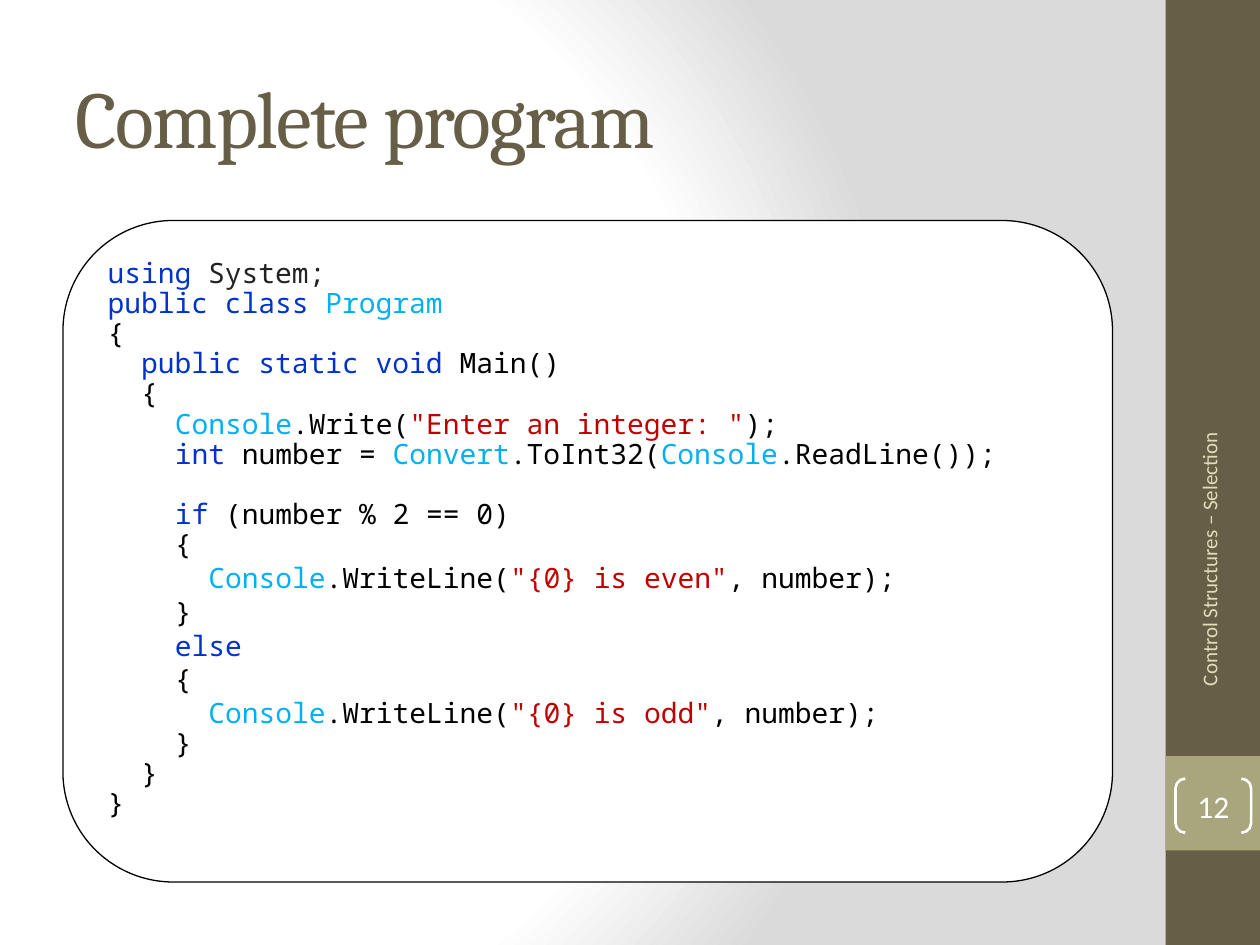
from dataclasses import dataclass

from lxml.etree import SubElement
from pptx import Presentation
from pptx.dml.color import RGBColor
from pptx.enum.shapes import MSO_SHAPE as Preset
from pptx.enum.text import MSO_ANCHOR as Anchor, MSO_AUTO_SIZE as AutoSize, PP_ALIGN as Align
from pptx.oxml.ns import qn
from pptx.util import Inches, Pt

WHITE = RGBColor(0xFF, 0xFF, 0xFF)
BLACK = RGBColor(0x00, 0x00, 0x00)
SHADE = RGBColor(0xDA, 0xDA, 0xDA)
BROWN = RGBColor(0x67, 0x5E, 0x47)
OLIVE = RGBColor(0xA9, 0xA5, 0x7C)
SAND = RGBColor(0xDF, 0xDC, 0xB7)
KEYWORD = RGBColor(0x00, 0x33, 0xCC)
TYPE_NAME = RGBColor(0x00, 0xB0, 0xF0)
STRING = RGBColor(0xC0, 0x00, 0x00)
NAMESPACE = RGBColor(0x22, 0x22, 0x22)

WIDTH, HEIGHT = 10, 7.5
MARGIN, CONTENT_WIDTH = 0.5, 8.33
SIDEBAR_WIDTH = 0.75
SIDEBAR_LEFT = WIDTH - SIDEBAR_WIDTH
CODE_SIZE = 16
INDENT_STEP = CODE_SIZE * 0.6 * 2
TIGHT = 0.9


@dataclass(frozen=True)
class Run:
    text: str
    color: RGBColor = BLACK


@dataclass(frozen=True)
class CodeLine:
    indent: int
    runs: tuple[Run, ...]
    spacing: float = TIGHT
    space_before: float = 0


def write_line(indent: int, message: str) -> CodeLine:
    return CodeLine(indent, (
        Run("Console", TYPE_NAME), Run(".WriteLine("),
        Run(f'"{message}"', STRING), Run(", number);")), 1)


def brace(indent: int, symbol: str, spacing: float = TIGHT) -> CodeLine:
    return CodeLine(indent, (Run(symbol),), spacing)


CODE = (
    CodeLine(0, (Run("using", KEYWORD), Run(" System;", NAMESPACE))),
    CodeLine(0, (Run("public class ", KEYWORD), Run("Program", TYPE_NAME))),
    brace(0, "{"),
    CodeLine(1, (Run("public static void", KEYWORD), Run(" Main()"))),
    brace(1, "{"),
    CodeLine(2, (Run("Console", TYPE_NAME), Run(".Write("),
                 Run('"Enter an integer: "', STRING), Run(");"))),
    CodeLine(2, (Run("int ", KEYWORD), Run("number = "), Run("Convert", TYPE_NAME),
                 Run(".ToInt32("), Run("Console", TYPE_NAME), Run(".ReadLine());"))),
    CodeLine(2, (Run("if", KEYWORD), Run(" (number % 2 == 0)")), space_before=17.2),
    brace(2, "{"),
    write_line(3, "{0} is even"),
    brace(2, "}", 1),
    CodeLine(2, (Run("else", KEYWORD),), 1),
    brace(2, "{", 1),
    write_line(3, "{0} is odd"),
    brace(2, "}"),
    brace(1, "}"),
    brace(0, "}"),
)


def add_run(paragraph, run: Run, size: float, font: str):
    text_run = paragraph.add_run()
    text_run.text = run.text
    text_run.font.size = Pt(size)
    text_run.font.name = font
    text_run.font.color.rgb = run.color
    return text_run


def add_box(slide, preset: Preset, left: float, top: float, width: float, height: float,
            fill: RGBColor | None = None, line: RGBColor | None = None,
            line_width: float = 0.75):
    shape = slide.shapes.add_shape(
        preset, Inches(left), Inches(top), Inches(width), Inches(height))
    shape.shadow.inherit = False
    if fill is None:
        shape.fill.background()
    else:
        shape.fill.solid()
        shape.fill.fore_color.rgb = fill
    if line is None:
        shape.line.fill.background()
    else:
        shape.line.color.rgb = line
        shape.line.width = Pt(line_width)
    return shape


def paint_background(slide) -> None:
    slide.background.fill.gradient()
    gradient = slide.background._cSld.find(".//" + qn("a:gradFill"))
    for child in list(gradient):
        gradient.remove(child)
    stops = SubElement(gradient, qn("a:gsLst"))
    for percent, color in ((0, WHITE), (75, WHITE), (100, SHADE)):
        stop = SubElement(stops, qn("a:gs"), pos=str(percent * 1000))
        SubElement(stop, qn("a:srgbClr"), val=str(color))
    circle = SubElement(gradient, qn("a:path"), {"path": "circle"})
    SubElement(circle, qn("a:fillToRect"), l="20000", t="50000", r="100000", b="50000")


def add_sidebar(slide) -> None:
    add_box(slide, Preset.RECTANGLE, SIDEBAR_LEFT, 0, SIDEBAR_WIDTH, HEIGHT, BROWN)
    add_box(slide, Preset.RECTANGLE, SIDEBAR_LEFT, HEIGHT * 0.8,
            SIDEBAR_WIDTH, SIDEBAR_WIDTH, OLIVE)

    footer = slide.shapes.add_textbox(Inches(8.3), Inches(4.43), Inches(2.59), Inches(0.4))
    footer.rotation = 270
    frame = footer.text_frame
    frame.word_wrap = True
    frame.vertical_anchor = Anchor.MIDDLE
    paragraph = frame.paragraphs[0]
    paragraph.alignment = Align.RIGHT
    add_run(paragraph, Run("Control Structures – Selection", SAND), 12, "Calibri")

    number = add_box(slide, Preset.DOUBLE_BRACKET, 9.33, 6.18, 0.6, 0.43,
                     line=WHITE, line_width=1.5)
    number.adjustments[0] = 0.18
    frame = number.text_frame
    frame.margin_left = frame.margin_right = frame.margin_top = frame.margin_bottom = 0
    frame.vertical_anchor = Anchor.MIDDLE
    paragraph = frame.paragraphs[0]
    paragraph.alignment = Align.CENTER
    add_run(paragraph, Run("12", WHITE), 18, "Calibri")


def add_title(slide, text: str) -> None:
    title = slide.shapes.title
    title.left, title.top = Inches(MARGIN), Inches(0.3)
    title.width, title.height = Inches(CONTENT_WIDTH), Inches(1.25)
    frame = title.text_frame
    frame.auto_size = AutoSize.NONE
    frame.vertical_anchor = Anchor.MIDDLE
    paragraph = frame.paragraphs[0]
    paragraph.alignment = Align.LEFT
    run = add_run(paragraph, Run(text, BROWN), 46, "Cambria")
    run.font._element.set("spc", "-100")


def add_code(slide, lines: tuple[CodeLine, ...]) -> None:
    panel = add_box(slide, Preset.ROUNDED_RECTANGLE, MARGIN, 1.75,
                    CONTENT_WIDTH, 5.25, WHITE, BLACK)
    frame = panel.text_frame
    frame.word_wrap = True
    frame.vertical_anchor = Anchor.TOP
    for index, line in enumerate(lines):
        paragraph = frame.add_paragraph() if index else frame.paragraphs[0]
        paragraph.alignment = Align.LEFT
        paragraph.line_spacing = line.spacing
        paragraph.space_before = Pt(line.space_before)
        paragraph._p.get_or_add_pPr().set("marL", str(Pt(line.indent * INDENT_STEP)))
        for run in line.runs:
            add_run(paragraph, run, CODE_SIZE, "Noto Sans Mono")


presentation = Presentation()
presentation.slide_width, presentation.slide_height = Inches(WIDTH), Inches(HEIGHT)
slide = presentation.slides.add_slide(presentation.slide_layouts[5])
paint_background(slide)
add_sidebar(slide)
add_title(slide, "Complete program")
add_code(slide, CODE)
presentation.save("out.pptx")
